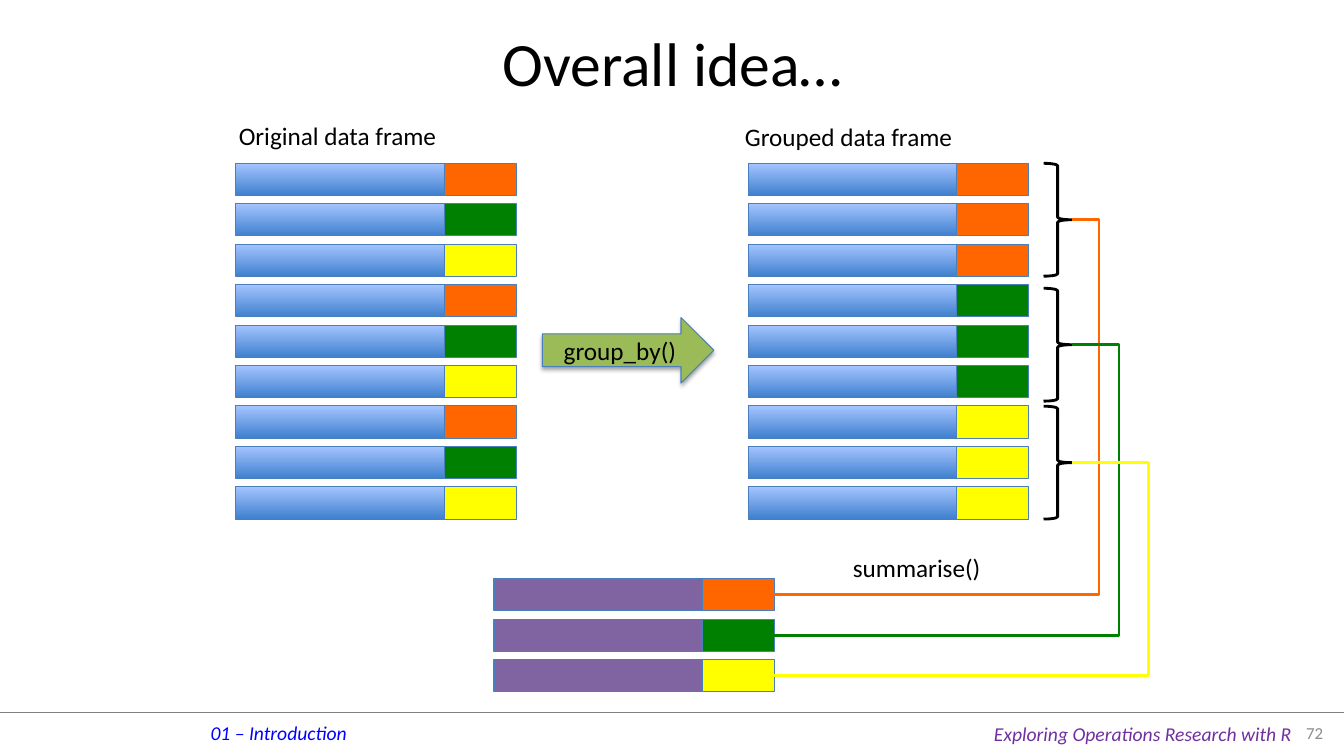
from dataclasses import dataclass

from lxml import etree
from pptx import Presentation
from pptx.dml.color import RGBColor
from pptx.enum.shapes import MSO_CONNECTOR, MSO_SHAPE
from pptx.enum.text import MSO_ANCHOR, PP_ALIGN
from pptx.oxml.ns import qn
from pptx.util import Inches, Pt

RECT, ARROW, BRACE = MSO_SHAPE.RECTANGLE, MSO_SHAPE.RIGHT_ARROW, MSO_SHAPE.RIGHT_BRACE
STRAIGHT, ELBOW = MSO_CONNECTOR.STRAIGHT, MSO_CONNECTOR.ELBOW
LEFT, CENTER, RIGHT = PP_ALIGN.LEFT, PP_ALIGN.CENTER, PP_ALIGN.RIGHT
TOP, MIDDLE = MSO_ANCHOR.TOP, MSO_ANCHOR.MIDDLE

FONT = "Calibri"
BLACK, OUTLINE, PURPLE = "000000", "4B7EBC", "8064A2"
ORANGE, GREEN, YELLOW = "FF6600", "008000", "FFFF00"
GROUPS = [ORANGE, GREEN, YELLOW]
BLUE_GRADIENT = ["3F80CE", "A4C4FF"]

ROW_H, DATA_W, KEY_W = 0.32, 2.07, 0.71
ROW_PITCH = (4.83 - 1.62) / 8
BRACE_X, BRACE_W, BRACE_H = 10.35, 0.28, 1.12


@dataclass
class Frame:
    x: float
    y: float
    keys: list[str]
    fill: str | None = None  # None means the blue gradient


@dataclass
class Label:
    text: str
    x: float
    y: float
    w: float
    h: float
    size: int = 18
    color: str = BLACK
    italic: bool = False
    wrap: bool = False
    align: int = LEFT
    anchor: int = TOP


@dataclass
class Link:
    color: str
    brace_y: float
    bend_x: float


FRAMES = [
    Frame(2.34, 1.62, GROUPS * 3),
    Frame(7.42, 1.62, [key for key in GROUPS for _ in range(3)]),
    Frame(4.9, 5.74, GROUPS, PURPLE),
]
LABELS = [
    Label("01 – Introduction", 1.99, 7.1, 1.57, 0.34, 14, "0000FF", True),
    Label("Exploring Operations Research with R", 9.76, 7.11, 3.18, 0.34, 14, "7030A0", True),
    Label("72", 12.67, 7.07, 0.55, 0.39, 12, "8C8C8C", wrap=True, align=RIGHT, anchor=MIDDLE),
    Label("summarise()", 8.36, 5.43, 1.48, 0.4),
    Label("Original data frame", 2.27, 1.14, 2.19, 0.4),
    Label("Grouped data frame", 7.29, 1.15, 2.29, 0.4),
]
LINKS = [Link(ORANGE, 1.62, 10.9), Link(GREEN, 2.86, 11.1), Link(YELLOW, 4.03, 11.39)]


def rgb(color: str) -> RGBColor:
    return RGBColor.from_string(color)


def set_line(sp, color: str, width: float) -> None:
    sp.line.color.rgb = rgb(color)
    sp.line.width = Pt(width)


def write(sp, text: str, size: int, color: str, align: int,
          anchor: int, italic: bool = False, wrap: bool = True) -> None:
    tf = sp.text_frame
    tf.word_wrap = wrap
    tf.vertical_anchor = anchor
    p = tf.paragraphs[0]
    p.text = text
    p.alignment = align
    p.font.name = FONT
    p.font.size = Pt(size)
    p.font.italic = italic
    p.font.color.rgb = rgb(color)


def add_shape(slide, kind: int, x: float, y: float, w: float, h: float,
              fill: str | None, line: str = OUTLINE, width: float = 0.75):
    sp = slide.shapes.add_shape(kind, Inches(x), Inches(y), Inches(w), Inches(h))
    sp.shadow.inherit = False
    set_line(sp, line, width)
    if fill:
        sp.fill.solid()
        sp.fill.fore_color.rgb = rgb(fill)
    else:
        sp.fill.background()
    return sp


def add_line(slide, kind: int, x1: float, y1: float, x2: float, y2: float,
             color: str, width: float):
    line = slide.shapes.add_connector(kind, Inches(x1), Inches(y1), Inches(x2), Inches(y2))
    set_line(line, color, width)
    etree.SubElement(line._element.spPr, qn("a:effectLst"))
    return line


def add_frame(slide, frame: Frame) -> None:
    for i, key in enumerate(frame.keys):
        y = frame.y + i * ROW_PITCH
        data = add_shape(slide, RECT, frame.x, y, DATA_W, ROW_H, frame.fill)
        if frame.fill is None:
            data.fill.gradient()
            data.fill.gradient_angle = 90
            for stop, color in zip(data.fill.gradient_stops, BLUE_GRADIENT):
                stop.color.rgb = rgb(color)
        add_shape(slide, RECT, frame.x + DATA_W, y, KEY_W, ROW_H, key)


def add_label(slide, label: Label) -> None:
    box = slide.shapes.add_textbox(Inches(label.x), Inches(label.y),
                                   Inches(label.w), Inches(label.h))
    write(box, label.text, label.size, label.color, label.align,
          label.anchor, label.italic, label.wrap)


def add_link(slide, link: Link, x2: float, y2: float) -> None:
    x1, y1 = BRACE_X + BRACE_W, link.brace_y + BRACE_H / 2
    line = add_line(slide, ELBOW, x1, y1, x2, y2, link.color, 2)
    bend = round((x1 - link.bend_x) / (x1 - x2) * 100000)
    geom = line._element.spPr.find(qn("a:prstGeom"))
    guides = geom.find(qn("a:avLst"))
    etree.SubElement(guides, qn("a:gd"), name="adj1", fmla=f"val {bend}")


def add_soft_shadow(sp) -> None:
    effects = sp._element.spPr.find(qn("a:effectLst"))
    shadow = etree.SubElement(effects, qn("a:outerShdw"), blurRad=str(Pt(3.1)),
                              dist=str(Pt(1.8)), dir="5400000", rotWithShape="0")
    color = etree.SubElement(shadow, qn("a:srgbClr"), val=BLACK)
    etree.SubElement(color, qn("a:alpha"), val="35000")


def main() -> None:
    prs = Presentation()
    prs.slide_width, prs.slide_height = Inches(13.33), Inches(7.5)
    slide = prs.slides.add_slide(prs.slide_layouts[5])

    # Title and footer rule
    title = slide.shapes.title
    title.left, title.top = Inches(2.17), Inches(-0.01)
    title.width, title.height = Inches(9), Inches(1.25)
    write(title, "Overall idea…", 44, BLACK, CENTER, MIDDLE)
    add_line(slide, STRAIGHT, 0, 7.07, 13.33, 7.07, "808080", 0.25)

    # Data frames
    for frame in FRAMES:
        add_frame(slide, frame)

    # Grouping arrow
    arrow = add_shape(slide, ARROW, 5.38, 3.15, 1.7, 0.65, "9BBB59")
    add_soft_shadow(arrow)
    write(arrow, "group_by()", 18, BLACK, CENTER, MIDDLE)

    # Braces, each linked to its summary row
    summary = FRAMES[-1]
    for i, link in enumerate(LINKS):
        add_shape(slide, BRACE, BRACE_X, link.brace_y, BRACE_W, BRACE_H, None, BLACK, 2)
        add_link(slide, link, summary.x + DATA_W + KEY_W,
                 summary.y + i * ROW_PITCH + ROW_H / 2)

    # Captions and footer text
    for label in LABELS:
        add_label(slide, label)

    prs.save("out.pptx")


if __name__ == "__main__":
    main()
